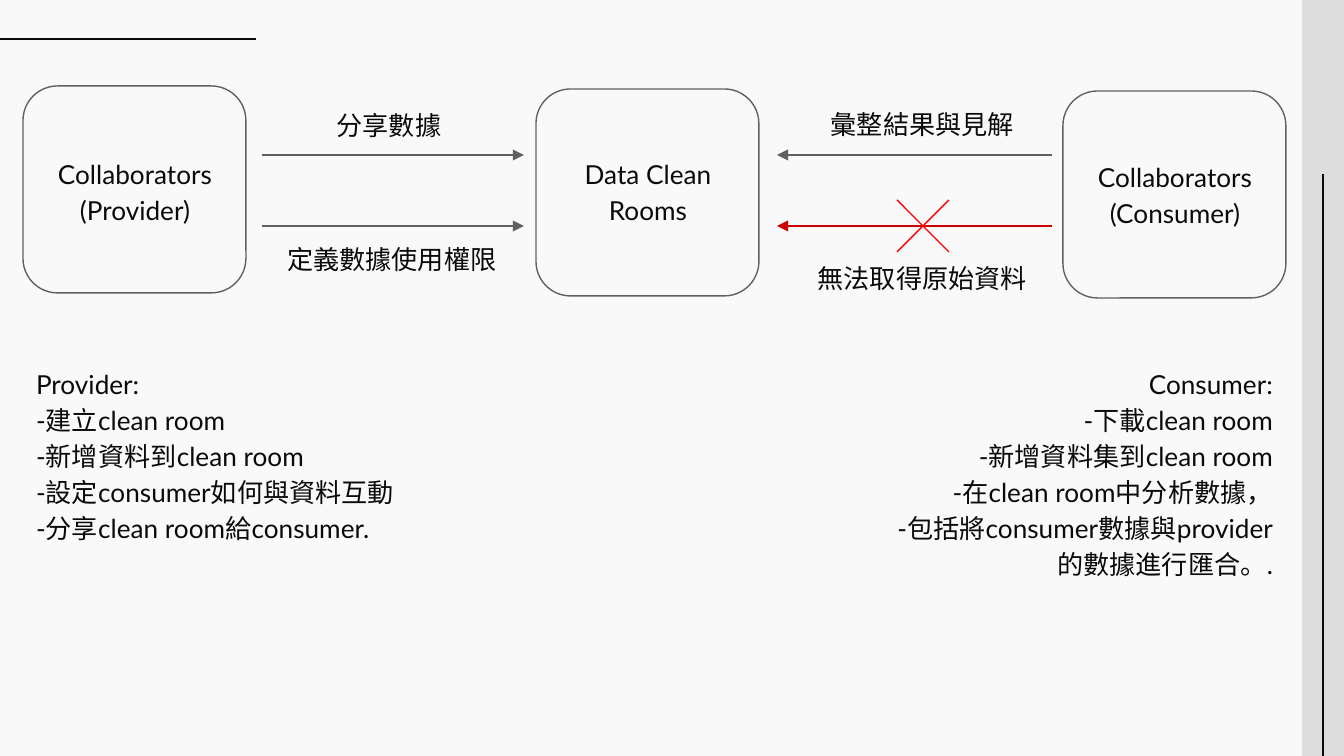
from dataclasses import dataclass

import pptx
import pptx.dml.color
import pptx.enum.shapes
import pptx.enum.text
import pptx.oxml.ns
import pptx.util
from lxml import etree

PX = 914400 / 134.4
ALIGN = pptx.enum.text.PP_ALIGN
ANCHOR = pptx.enum.text.MSO_ANCHOR
SHAPE = pptx.enum.shapes.MSO_SHAPE


@dataclass(frozen=True)
class Theme:
    background: str = "F9F9F9"
    band: str = "DDDDDD"
    ink: str = "0A0A0A"
    outline: str = "5F6160"
    denied: str = "CC0000"
    cross: str = "FF0000"
    font: str = "Lato"
    size: int = 14
    line_width: float = 0.75
    spacing: float = 1.15
    inset: int = 13


def emu(*lengths):
    return [pptx.util.Emu(round(n * PX)) for n in lengths]


def rgb(color):
    return pptx.dml.color.RGBColor.from_string(color)


def add_xml(parent, tag, **attributes):
    return etree.SubElement(parent, pptx.oxml.ns.qn(tag), attributes)


class Deck:
    def __init__(self, theme, width, height):
        self.theme = theme
        self.prs = pptx.Presentation()
        self.prs.slide_width, self.prs.slide_height = emu(width, height)

    def new_slide(self):
        """Start a two-list slide without a title."""
        self.s = self.prs.slides.add_slide(self.prs.slide_layouts[3])
        title = self.s.shapes.title.element
        title.getparent().remove(title)
        fill = self.s.background.fill
        fill.solid()
        fill.fore_color.rgb = rgb(self.theme.background)

    def set_text(self, sp, lines, align, anchor):
        tf = sp.text_frame
        tf.word_wrap = True
        tf.auto_size = pptx.enum.text.MSO_AUTO_SIZE.NONE
        tf.vertical_anchor = anchor
        tf.margin_left, tf.margin_top, tf.margin_right, tf.margin_bottom = emu(
            *[self.theme.inset] * 4)
        tf.text = "\n".join(lines)
        for p in tf.paragraphs:
            p.alignment = align
            p.line_spacing = self.theme.spacing
            p.space_before = p.space_after = pptx.util.Pt(0)
            p.font.name = self.theme.font
            p.font.size = pptx.util.Pt(self.theme.size)
            p.font.color.rgb = rgb(self.theme.ink)

    def label(self, x, y, w, h, *lines):
        sp = self.s.shapes.add_textbox(*emu(x, y, w, h))
        self.set_text(sp, lines, ALIGN.CENTER, ANCHOR.MIDDLE)

    def body(self, idx, x, y, w, h, lines, align):
        """Place a body placeholder as a list without bullets."""
        sp = self.s.placeholders[idx]
        sp.left, sp.top, sp.width, sp.height = emu(x, y, w, h)
        self.set_text(sp, lines, align, ANCHOR.TOP)
        for p in sp.text_frame.paragraphs:
            pPr = p._p.get_or_add_pPr()
            pPr.set("marL", "0")
            pPr.set("indent", "0")
            # Bullet settings must precede the default run properties
            bullet = add_xml(pPr, "a:buNone")
            pPr.find(pptx.oxml.ns.qn("a:defRPr")).addprevious(bullet)

    def band(self, x, y, w, h):
        sp = self.s.shapes.add_shape(SHAPE.RECTANGLE, *emu(x, y, w, h))
        sp.shadow.inherit = False
        sp.fill.solid()
        sp.fill.fore_color.rgb = rgb(self.theme.band)
        sp.line.fill.background()

    def box(self, x, y, w, h):
        sp = self.s.shapes.add_shape(SHAPE.ROUNDED_RECTANGLE, *emu(x, y, w, h))
        sp.shadow.inherit = False
        sp.adjustments[0] = 0.167
        sp.fill.background()
        sp.line.color.rgb = rgb(self.theme.outline)
        sp.line.width = pptx.util.Pt(self.theme.line_width)

    def line(self, x1, y1, x2, y2, color, arrow=False):
        cxn = self.s.shapes.add_connector(
            pptx.enum.shapes.MSO_CONNECTOR.STRAIGHT, *emu(x1, y1, x2, y2))
        cxn.line.color.rgb = rgb(color)
        cxn.line.width = pptx.util.Pt(self.theme.line_width)
        if arrow:
            add_xml(cxn.line._get_or_add_ln(), "a:tailEnd", type="triangle")
        add_xml(cxn._element.spPr, "a:effectLst")


def main():
    theme = Theme()
    deck = Deck(theme, 1344, 756)
    deck.new_slide()

    deck.band(1302, 0, 42, 756)
    deck.line(256, 39, 0, 39, theme.ink)
    deck.line(1323, 174, 1323, 756, theme.ink)

    for x, y, label_y, lines in (
        (23, 86, 122, ["Collaborators", "(Provider)"]),
        (536, 89, 122, ["Data Clean Rooms"]),
        (1063, 91, 125, ["Collaborators", "(Consumer)"]),
    ):
        deck.box(x, y, 223, 207)
        deck.label(x - 3, label_y, 230, 136, *lines)

    upper, lower = 155, 226
    for start, end, y, color in (
        (262, 524, upper, theme.outline),
        (262, 524, lower, theme.outline),
        (1052, 777, upper, theme.outline),
        (1052, 777, lower, theme.denied),
    ):
        deck.line(start, y, end, y, color, arrow=True)
    deck.line(949, 200, 897, 252, theme.cross)
    deck.line(897, 200, 949, 252, theme.cross)

    deck.label(252, 92, 274, 62, "分享數據")
    deck.label(255, 226, 274, 62, "定義數據使用權限")
    deck.label(766, 87, 313, 70, "彙整結果與見解")
    deck.label(742, 235, 361, 81, "無法取得原始資料")

    deck.body(1, 23, 351, 402, 220, [
        "Provider:",
        "-建立clean room",
        "-新增資料到clean room",
        "-設定consumer如何與資料互動",
        "-分享clean room給consumer.",
    ], ALIGN.LEFT)
    deck.body(2, 859, 351, 427, 297, [
        "Consumer:",
        "-下載clean room",
        "-新增資料集到clean room",
        "-在clean room中分析數據，",
        "-包括將consumer數據與provider的數據進行匯合。.",
    ], ALIGN.RIGHT)

    deck.prs.save("out.pptx")


if __name__ == "__main__":
    main()
